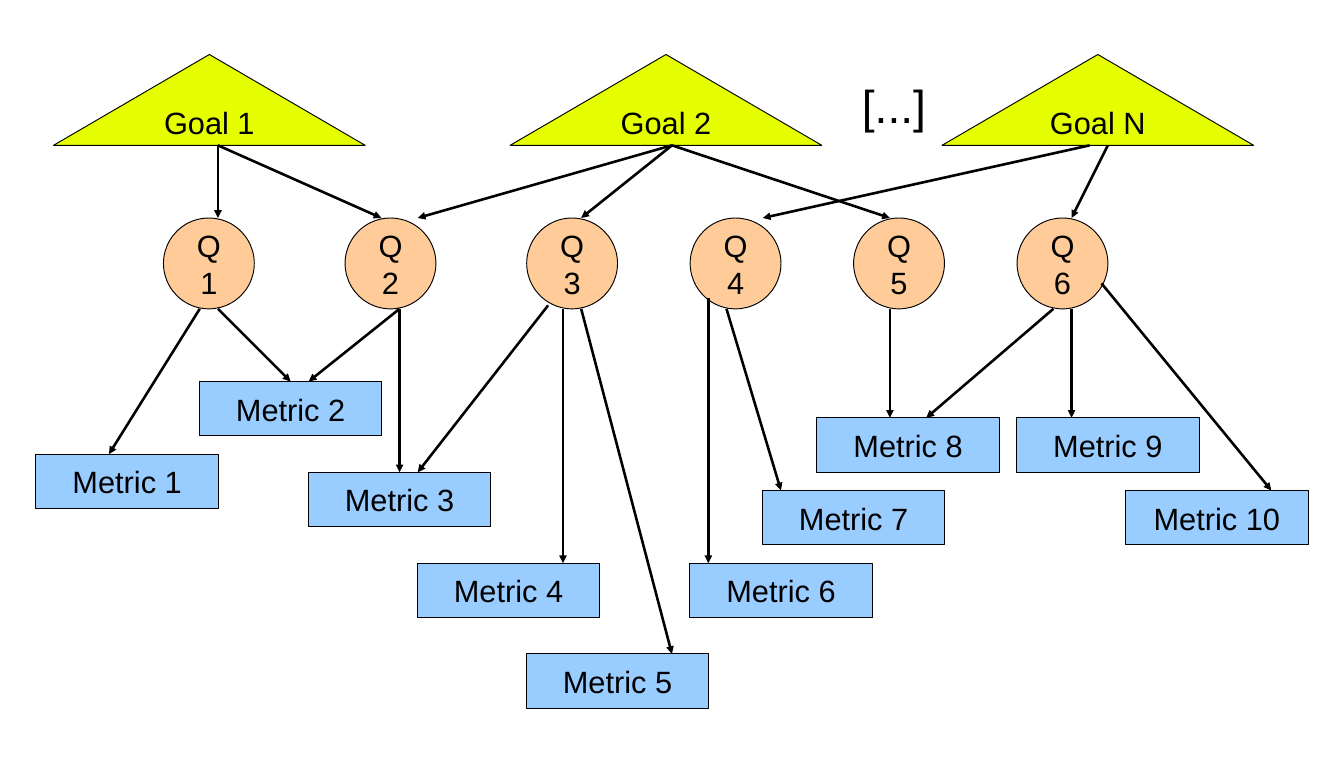
from dataclasses import dataclass

from lxml.etree import SubElement
from pptx import Presentation
from pptx.dml.color import RGBColor
from pptx.enum.shapes import MSO_CONNECTOR as Link, MSO_SHAPE as Outline
from pptx.enum.text import MSO_ANCHOR as Anchor, MSO_AUTO_SIZE as AutoSize, PP_ALIGN as Align
from pptx.oxml.ns import qn
from pptx.util import Inches, Pt

BLACK = RGBColor(0x00, 0x00, 0x00)
YELLOW = RGBColor(0xE6, 0xFF, 0x00)
PEACH = RGBColor(0xFF, 0xCC, 0x99)
BLUE = RGBColor(0x99, 0xCC, 0xFF)

WIDTH, HEIGHT = Inches(14.57), Inches(8.27)
COLUMNS, ROWS = 74, 42
TOP_SIDE = 0


@dataclass(frozen=True)
class Kind:
    outline: Outline
    fill: RGBColor
    columns: float
    rows: float


@dataclass(frozen=True)
class Node:
    label: str
    kind: Kind
    center: float
    row: float


@dataclass(frozen=True)
class Arrow:
    start: tuple[float, float]
    end: tuple[float, float]


GOAL = Kind(Outline.ISOSCELES_TRIANGLE, YELLOW, 17.16, 5)
QUESTION = Kind(Outline.OVAL, PEACH, 5, 5)
METRIC = Kind(Outline.RECTANGLE, BLUE, 10.05, 3)

GOALS = [
    Node(f"Goal {name}", GOAL, center, 3)
    for name, center in (("1", 11.53), ("2", 36.67), ("N", 60.45))
]
QUESTIONS = [
    Node(f"Q {number}", QUESTION, center, 12)
    for number, center in enumerate((11.5, 21.5, 31.5, 40.5, 49.5, 58.5), 1)
]
METRIC_SPOTS = [
    (7, 25), (16, 21), (22, 26), (28, 31), (34, 36),
    (43, 31), (47, 27), (50, 23), (61, 23), (67, 27),
]
METRICS = [
    Node(f"Metric {number}", METRIC, center, row)
    for number, (center, row) in enumerate(METRIC_SPOTS, 1)
]
GOAL_ARROWS = [
    Arrow((start, 8), (end, 12))
    for start, end in (
        (12, 12), (12, 21), (37, 23), (37, 32), (37, 49), (60, 42), (61, 59),
    )
]
QUESTION_ARROWS = [
    Arrow((11, 17), (6, 25)),
    Arrow((12, 17), (16, 21)),
    Arrow((22, 17), (17, 21)),
    Arrow((22, 17), (22, 26)),
    Arrow((30.18, 16.81), (23, 26)),
    Arrow((31, 17), (31, 31)),
    Arrow((32, 17), (37, 36)),
    Arrow((39, 16.4), (39, 31)),
    Arrow((40, 17), (43, 27)),
    Arrow((49, 17), (49, 23)),
    Arrow((58, 17), (51, 23)),
    Arrow((59, 17), (59, 23)),
    Arrow((60.65, 15.6), (70, 27)),
]


def across(columns: float) -> int:
    return round(WIDTH * columns / COLUMNS)


def down(rows: float) -> int:
    return round(HEIGHT * rows / ROWS)


def apply(target, values: dict) -> None:
    for name, value in values.items():
        setattr(target, name, value)


def write(box, text: str, size: int, frame_format: dict) -> None:
    frame = box.text_frame
    apply(frame, {"word_wrap": True, **frame_format})
    para = frame.paragraphs[0]
    para.alignment = Align.CENTER
    span = para.add_run()
    span.text = text
    apply(span.font, {"name": "Arial", "size": Pt(size)})
    span.font.color.rgb = BLACK


def outline_black(shape) -> None:
    shape.line.color.rgb = BLACK
    shape.line.width = Pt(0)


def draw_node(page, node: Node):
    kind = node.kind
    box = page.shapes.add_shape(
        kind.outline, across(node.center - kind.columns / 2), down(node.row),
        across(kind.columns), down(kind.rows),
    )
    box.shadow.inherit = False
    box.fill.solid()
    box.fill.fore_color.rgb = kind.fill
    outline_black(box)
    write(box, node.label, 24, {"vertical_anchor": Anchor.MIDDLE})
    return box


def draw_arrow(page, arrow: Arrow, metric_tops: dict) -> None:
    (start_column, start_row), (end_column, end_row) = arrow.start, arrow.end
    connector = page.shapes.add_connector(
        Link.STRAIGHT, across(start_column), down(start_row),
        across(end_column), down(end_row),
    )
    outline_black(connector)
    properties = connector.element.spPr
    SubElement(properties.find(qn("a:ln")), qn("a:tailEnd"), type="triangle")
    SubElement(properties, qn("a:effectLst"))
    if arrow.end in metric_tops:
        connector.end_connect(metric_tops[arrow.end], TOP_SIDE)


def main() -> None:
    deck = Presentation()
    apply(deck, {"slide_width": WIDTH, "slide_height": HEIGHT})
    page = deck.slides.add_slide(deck.slide_layouts[6])

    for node in GOALS + QUESTIONS:
        draw_node(page, node)
    metric_tops = {(node.center, node.row): draw_node(page, node) for node in METRICS}

    ellipsis = page.shapes.add_textbox(across(43.94), down(4), across(10.57), down(3.35))
    write(ellipsis, "[...]", 36, {"auto_size": AutoSize.SHAPE_TO_FIT_TEXT})

    for arrow in GOAL_ARROWS + QUESTION_ARROWS:
        draw_arrow(page, arrow, metric_tops)

    deck.save("out.pptx")


if __name__ == "__main__":
    main()
